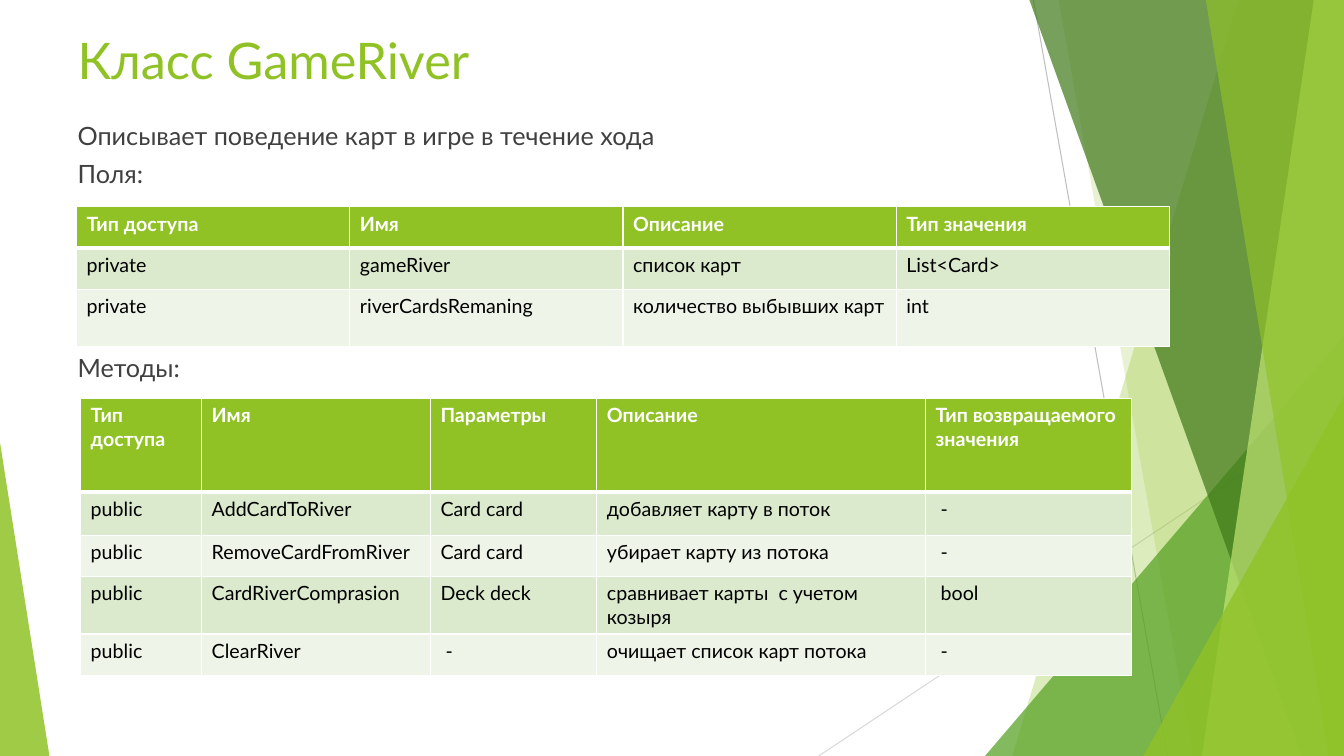
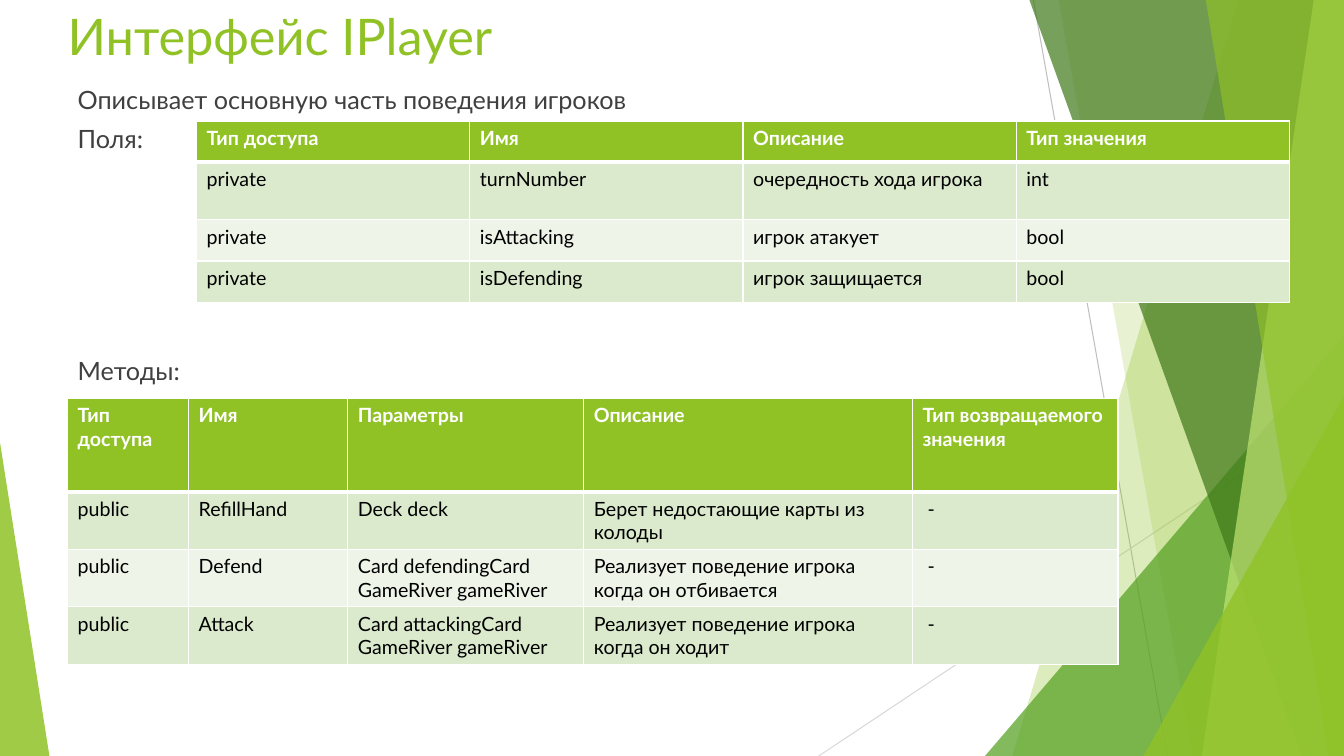
from dataclasses import dataclass

from lxml import etree
from pptx import Presentation
from pptx.dml.color import RGBColor
from pptx.enum.shapes import MSO_CONNECTOR, MSO_SHAPE
from pptx.enum.text import MSO_ANCHOR, MSO_AUTO_SIZE, PP_ALIGN
from pptx.oxml.ns import qn
from pptx.util import Inches, Pt

STRAIGHT = MSO_CONNECTOR.STRAIGHT
TRIANGLE = MSO_SHAPE.ISOSCELES_TRIANGLE
LEFT, TOP, FIXED = PP_ALIGN.LEFT, MSO_ANCHOR.TOP, MSO_AUTO_SIZE.NONE
WIDTH, HEIGHT = 13.33, 7.5


@dataclass(frozen=True)
class Theme:
    font: str = "Lato"
    accent: str = "90C226"
    leaf: str = "54A021"
    forest: str = "3F7819"
    lime: str = "C0E474"
    body: str = "404040"
    cell: str = "000000"
    white: str = "FFFFFF"
    stripes: tuple = ("DBE9CD", "EEF4E8")
    title_size: int = 36
    body_size: int = 18
    table_size: int = 14
    paragraph_gap: int = 6
    line_height: float = 1.2
    grid_line: int = 1
    header_line: int = 3
    thin_line: float = 0.75


THEME = Theme()

# Content
FIELD_HEADER = ("Тип доступа", "Имя", "Описание", "Тип значения")
METHOD_HEADER = ("Тип доступа", "Имя", "Параметры", "Описание",
                 "Тип возвращаемого значения")
FIELD_COLUMNS = (2.71,) * 4
ONE_LINE, TWO_LINES, TALL_HEADER = 0.41, 0.57, 0.93

SLIDES = [
    {
        "title": ("Класс GameRiver", (0.67, 0.24, 4.47, 0.8)),
        "body_box": (0.67, 1.14, 11.06, 6.04),
        # text and the number of lines kept free above it
        "body": [("Описывает поведение карт в игре в течение хода", 0),
                 ("Поля:", 0), ("Методы:", 4)],
        "tables": [
            {"at": (0.76, 2.05), "columns": FIELD_COLUMNS,
             "heights": (ONE_LINE, ONE_LINE, TWO_LINES),
             "rows": [
                 FIELD_HEADER,
                 ("private", "gameRiver", "список карт", "List<Card>"),
                 ("private", "riverCardsRemaning",
                  "количество выбывших карт", "int")]},
            {"at": (0.8, 3.95), "columns": (1.2, 2.27, 1.65, 3.26, 2.04),
             "heights": (TALL_HEADER, 0.43, ONE_LINE, TWO_LINES, ONE_LINE),
             "rows": [
                 METHOD_HEADER,
                 ("public", "AddCardToRiver", "Card card",
                  "добавляет карту в поток", " - "),
                 ("public", "RemoveCardFromRiver", "Card card",
                  "убирает карту из потока", " - "),
                 ("public", "CardRiverComprasion", "Deck deck",
                  "сравнивает карты  с учетом козыря", " bool"),
                 ("public", "ClearRiver", " - ",
                  "очищает список карт потока", " - ")]},
        ],
    },
    {
        "title": ("Интерфейс IPlayer", (0.57, 0, 4.88, 0.79)),
        "body_box": (0.67, 0.79, 9.57, 5.81),
        "body": [("Описывает основную часть поведения игроков", 0),
                 ("Поля:", 0), ("Методы:", 5)],
        "tables": [
            {"at": (1.95, 1.2), "columns": FIELD_COLUMNS,
             "heights": (ONE_LINE, TWO_LINES, ONE_LINE, ONE_LINE),
             "rows": [
                 FIELD_HEADER,
                 ("private", "turnNumber", "очередность хода игрока", "int"),
                 ("private", "isAttacking", "игрок атакует", "bool"),
                 ("private", "isDefending", "игрок защищается", "bool")]},
            {"at": (0.67, 3.95), "columns": (1.2, 1.58, 2.34, 3.26, 2.04),
             "heights": (TALL_HEADER,) + (TWO_LINES,) * 3,
             "rows": [
                 METHOD_HEADER,
                 ("public", "RefillHand", "Deck deck",
                  "Берет недостающие карты из колоды", " -"),
                 ("public", "Defend", "Card defendingCard GameRiver gameRiver",
                  "Реализует поведение игрока когда он отбивается", " - "),
                 ("public", "Attack", "Card attackingCard GameRiver gameRiver",
                  "Реализует поведение игрока когда он ходит", " - ")]},
        ],
    },
]

# Backdrop: thin lines, then bands and wedges from back to front
THIN_LINES = [("BFBFBF", (10.25, 0), (11.58, HEIGHT)),
              ("D9D9D9", (WIDTH, 4.03), (8.12, HEIGHT))]
# band: top and bottom x of its left edge; wedge: left, top, width, apex
FACETS = [
    ("band", THEME.accent, 30, (12.28, 10.04)),
    ("band", THEME.accent, 20, (10.5, 11.83)),
    ("wedge", THEME.leaf, 72, (9.77, 3.33, 3.56, 1)),
    ("band", THEME.forest, 70, (10.21, 12.91)),
    ("band", THEME.lime, 70, (13.03, 11.92)),
    ("band", THEME.accent, 65, (11.96, 13.18)),
    ("wedge", THEME.accent, 80, (11.34, 3.93, 1.99, 1)),
    ("wedge", THEME.accent, 85, (0, 4.39, 0.49, 0)),
]


def rgb(colour):
    return RGBColor.from_string(colour)


def inches(values):
    return [Inches(value) for value in values]


def set_font(paragraph, size, colour, bold=False):
    font = paragraph.font
    font.name, font.size, font.bold = THEME.font, Pt(size), bold
    font.color.rgb = rgb(colour)


def add_band(shapes, top_x, bottom_x):
    outline = shapes.build_freeform(Inches(top_x), 0)
    corners = [(WIDTH, 0), (WIDTH, HEIGHT), (bottom_x, HEIGHT)]
    outline.add_line_segments([inches(corner) for corner in corners])
    return outline.convert_to_shape()


def add_wedge(shapes, left, top, width, apex):
    wedge = shapes.add_shape(
        TRIANGLE, *inches((left, top, width, HEIGHT - top)))
    wedge.adjustments[0] = apex
    return wedge


def add_backdrop(slide, master):
    """Build the facets as one group and hand it to the slide master."""
    group = slide.shapes.add_group_shape()
    for colour, start, end in THIN_LINES:
        line = group.shapes.add_connector(STRAIGHT, *inches(start + end))
        line.line.color.rgb = rgb(colour)
        line.line.width = Pt(THEME.thin_line)
        etree.SubElement(line.element.spPr, qn("a:effectLst"))
    for kind, colour, opacity, geometry in FACETS:
        draw = add_band if kind == "band" else add_wedge
        facet = draw(group.shapes, *geometry)
        facet.shadow.inherit = False
        facet.line.fill.background()
        facet.fill.solid()
        facet.fill.fore_color.rgb = rgb(colour)
        colour_node = facet.element.spPr.find(
            f"{qn('a:solidFill')}/{qn('a:srgbClr')}")
        etree.SubElement(colour_node, qn("a:alpha"), val=str(opacity * 1000))
    # ids must stay unique among the master's own shapes
    for number, node in enumerate(group.element.iter(qn("p:cNvPr")), 100):
        node.set("id", str(number))
    master.shapes.element.insert(2, group.element)


def place(placeholder, box):
    (placeholder.left, placeholder.top,
     placeholder.width, placeholder.height) = inches(box)
    frame = placeholder.text_frame
    frame.vertical_anchor, frame.auto_size = TOP, FIXED
    frame.word_wrap = True
    return frame


def fill_title(placeholder, text, box):
    frame = place(placeholder, box)
    frame.text = text
    heading = frame.paragraphs[0]
    heading.alignment = LEFT
    set_font(heading, THEME.title_size, THEME.accent)


def fill_body(placeholder, lines, box):
    frame = place(placeholder, box)
    frame.text = "\n".join(text for text, _ in lines)
    pitch = THEME.body_size * THEME.line_height + THEME.paragraph_gap
    for paragraph, (_, free_lines) in zip(frame.paragraphs, lines):
        paragraph.alignment = LEFT
        paragraph.space_before = Pt(THEME.paragraph_gap + free_lines * pitch)
        set_font(paragraph, THEME.body_size, THEME.body)
        properties = paragraph._p.get_or_add_pPr()
        properties.set("marL", "0")
        properties.set("indent", "0")
        bullet = etree.SubElement(properties, qn("a:buNone"))
        properties.find(qn("a:defRPr")).addprevious(bullet)


def set_borders(cell, top, bottom):
    properties = cell._tc.get_or_add_tcPr()
    sides = {"L": THEME.grid_line, "R": THEME.grid_line,
             "T": top, "B": bottom}
    for side, width in sides.items():
        border = etree.SubElement(
            properties, qn(f"a:ln{side}"), w=str(Pt(width)))
        paint = etree.SubElement(border, qn("a:solidFill"))
        etree.SubElement(paint, qn("a:srgbClr"), val=THEME.white)


def add_member_table(slide, at, columns, heights, rows):
    size = (sum(columns), sum(heights))
    table = slide.shapes.add_table(
        len(rows), len(columns), *inches(at + size)).table
    for column, width in zip(table.columns, columns):
        column.width = Inches(width)
    for r, (row, height) in enumerate(zip(table.rows, heights)):
        row.height = Inches(height)
        is_header = r == 0
        fill = THEME.accent if is_header else THEME.stripes[(r - 1) % 2]
        colour = THEME.white if is_header else THEME.cell
        top = THEME.header_line if r == 1 else THEME.grid_line
        bottom = THEME.header_line if is_header else THEME.grid_line
        for cell, text in zip(row.cells, rows[r]):
            cell.text = text
            set_font(cell.text_frame.paragraphs[0], THEME.table_size,
                     colour, is_header)
            set_borders(cell, top, bottom)
            cell.fill.solid()
            cell.fill.fore_color.rgb = rgb(fill)


# Slides
deck = Presentation()
deck.slide_width, deck.slide_height = inches((WIDTH, HEIGHT))
title_and_content = deck.slide_layouts[1]

for content in SLIDES:
    slide = deck.slides.add_slide(title_and_content)
    fill_title(slide.shapes.title, *content["title"])
    fill_body(slide.placeholders[1], content["body"], content["body_box"])
    for member_table in content["tables"]:
        add_member_table(slide, **member_table)

add_backdrop(deck.slides[0], deck.slide_master)
deck.save("out.pptx")
